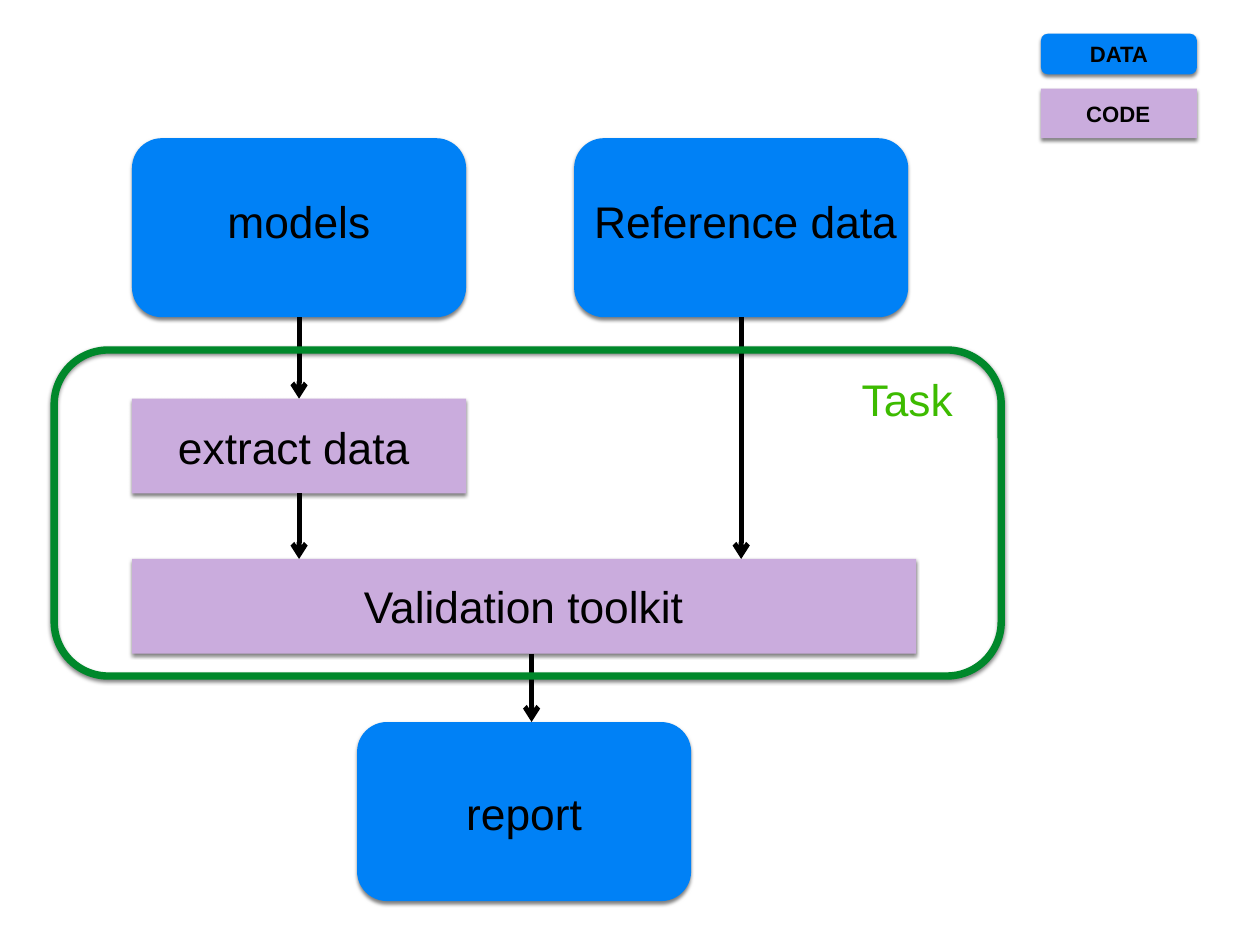
from dataclasses import dataclass
from typing import Any

from lxml import etree
from pptx import Presentation
from pptx import util as u
from pptx.dml import color
from pptx.enum import shapes, text
from pptx.oxml import ns

COLORS = {
    "data": "0081F6",
    "code": "CAACDD",
    "frame": "00882B",
    "task": "3DBB00",
    "ink": "000000",
}
RECTANGLE = shapes.MSO_SHAPE.RECTANGLE
ROUNDED = shapes.MSO_SHAPE.ROUNDED_RECTANGLE
INSET = u.Pt(4)
FRAME_FORMAT = {
    "margin_left": INSET,
    "margin_right": INSET,
    "margin_top": INSET,
    "margin_bottom": INSET,
    "vertical_anchor": text.MSO_ANCHOR.MIDDLE,
    "auto_size": text.MSO_AUTO_SIZE.SHAPE_TO_FIT_TEXT,
}
LARGE_FONT = {"name": "Arial", "size": u.Pt(36), "bold": False}
LEGEND_FONT = {"name": "Arial", "size": u.Pt(18), "bold": True}
SHADOW = {"blurRad": u.Pt(3), "dist": u.Pt(2), "dir": 90 * 60000,
          "algn": "ctr", "rotWithShape": 0}

BOX_WIDTH, DATA_HEIGHT, CODE_HEIGHT = 271.5, 145.5, 77
LEFT, REFERENCE_LEFT, REPORT_LEFT = 107.3, 466.6, 290.2
DATA_TOP, EXTRACT_TOP, TOOLKIT_TOP, REPORT_TOP = 112.3, 324, 454.3, 586.8
LEGEND_LEFT, LEGEND_WIDTH = 846, 126.7
LABEL_HEIGHT = 52


@dataclass(frozen=True)
class Box:
    left: float
    top: float
    width: float
    height: float
    kind: shapes.MSO_SHAPE
    fill: str | None = None
    outline: str | None = None
    legend: str | None = None


@dataclass(frozen=True)
class Label:
    wording: str
    left: float
    top: float
    width: float
    height: float = LABEL_HEIGHT
    ink: str = "ink"
    fill: str | None = None
    wrap: bool = False


@dataclass(frozen=True)
class Arrow:
    x: float
    start: float
    end: float


def rgb(name: str) -> color.RGBColor:
    return color.RGBColor.from_string(COLORS[name])


def set_attributes(target: Any, values: dict[str, Any]) -> None:
    for name, value in values.items():
        setattr(target, name, value)


def add_element(parent: Any, tag: str, values: dict[str, Any]) -> Any:
    return etree.SubElement(parent, ns.qn(tag),
                            {name: str(value) for name, value in values.items()})


def paint(shape: Any, fill: str | None) -> None:
    if fill:
        shape.fill.solid()
        shape.fill.fore_color.rgb = rgb(fill)
    else:
        shape.fill.background()


def write(shape: Any, wording: str, font: dict[str, Any], ink: str, wrap: bool) -> None:
    frame = shape.text_frame
    set_attributes(frame, FRAME_FORMAT | {"word_wrap": wrap})
    paragraph = frame.paragraphs[0]
    paragraph.alignment = text.PP_ALIGN.CENTER
    run = paragraph.add_run()
    run.text = wording
    set_attributes(run.font, font)
    run.font.color.rgb = rgb(ink)


def add_shadow(shape: Any) -> None:
    shape.shadow.inherit = False
    effects = shape._element.spPr.find(ns.qn("a:effectLst"))
    shadow = add_element(effects, "a:outerShdw", SHADOW)
    shade = add_element(shadow, "a:srgbClr", {"val": COLORS["ink"]})
    add_element(shade, "a:alpha", {"val": 50000})


def draw_box(group: Any, box: Box) -> None:
    shape = group.shapes.add_shape(
        box.kind, u.Pt(box.left), u.Pt(box.top), u.Pt(box.width), u.Pt(box.height))
    paint(shape, box.fill)
    if box.outline:
        shape.line.color.rgb = rgb(box.outline)
        shape.line.width = u.Pt(6)
    else:
        shape.line.fill.background()
    add_shadow(shape)
    if box.legend:
        write(shape, box.legend, LEGEND_FONT, "ink", True)


def draw_label(group: Any, label: Label, font: dict[str, Any] = LARGE_FONT) -> None:
    shape = group.shapes.add_textbox(
        u.Pt(label.left), u.Pt(label.top), u.Pt(label.width), u.Pt(label.height))
    paint(shape, label.fill)
    write(shape, label.wording, font, label.ink, label.wrap)


def draw_arrow(group: Any, arrow: Arrow) -> None:
    connector = group.shapes.add_connector(
        shapes.MSO_CONNECTOR.STRAIGHT,
        u.Pt(arrow.x), u.Pt(arrow.start), u.Pt(arrow.x), u.Pt(arrow.end))
    connector.line.color.rgb = rgb("ink")
    connector.line.width = u.Pt(4)
    properties = connector._element.spPr
    add_element(properties.find(ns.qn("a:ln")), "a:tailEnd", {"type": "arrow"})
    add_element(properties, "a:effectLst", {})


def data_box(left: float, top: float) -> Box:
    return Box(left, top, BOX_WIDTH, DATA_HEIGHT, ROUNDED, "data")


def code_box(top: float, width: float) -> Box:
    return Box(LEFT, top, width, CODE_HEIGHT, RECTANGLE, "code")


MODELS_X = LEFT + BOX_WIDTH / 2
REFERENCE_X = REFERENCE_LEFT + BOX_WIDTH / 2
DATA_BOTTOM = DATA_TOP + DATA_HEIGHT

WORKFLOW = [
    data_box(LEFT, DATA_TOP),
    Label("models", 127.4, 153.4, 231, wrap=True),
    code_box(EXTRACT_TOP, BOX_WIDTH),
    Label("extract data", 139.7, 337, 198, fill="code"),
    data_box(REFERENCE_LEFT, DATA_TOP),
    Label("Reference data", REFERENCE_LEFT, 153.4, 278.6, wrap=True),
    data_box(REPORT_LEFT, REPORT_TOP),
    Label("report", 374.4, 634.3, 103),
    code_box(TOOLKIT_TOP, 637.2),
    Label("Validation toolkit", 94.3, 466.6, 662.4),
    Arrow(MODELS_X, DATA_BOTTOM, EXTRACT_TOP),
    Arrow(MODELS_X, EXTRACT_TOP + CODE_HEIGHT, TOOLKIT_TOP),
    Arrow(REFERENCE_X, DATA_BOTTOM, TOOLKIT_TOP),
    Arrow(432, TOOLKIT_TOP + CODE_HEIGHT, REPORT_TOP),
    Box(44, 284.4, 769.7, 265, ROUNDED, outline="frame"),
    Label("Task", 693.4, 298, 87.8, ink="task"),
]
LEGEND = [
    Box(LEGEND_LEFT, 27.4, LEGEND_WIDTH, 33, ROUNDED, "data", legend="DATA"),
    Box(LEGEND_LEFT, 72, LEGEND_WIDTH, 40.3, RECTANGLE, "code"),
]
DRAWERS = {Box: draw_box, Label: draw_label, Arrow: draw_arrow}

presentation = Presentation()
set_attributes(presentation, {"slide_width": u.Pt(1024), "slide_height": u.Pt(768)})
slide = presentation.slides.add_slide(presentation.slide_layouts[6])

workflow_group = slide.shapes.add_group_shape()
for item in WORKFLOW:
    DRAWERS[type(item)](workflow_group, item)

legend_group = slide.shapes.add_group_shape()
for item in LEGEND:
    draw_box(legend_group, item)
draw_label(legend_group, Label("CODE", 877, 80, 63.4, 24), LEGEND_FONT)

presentation.save("out.pptx")
